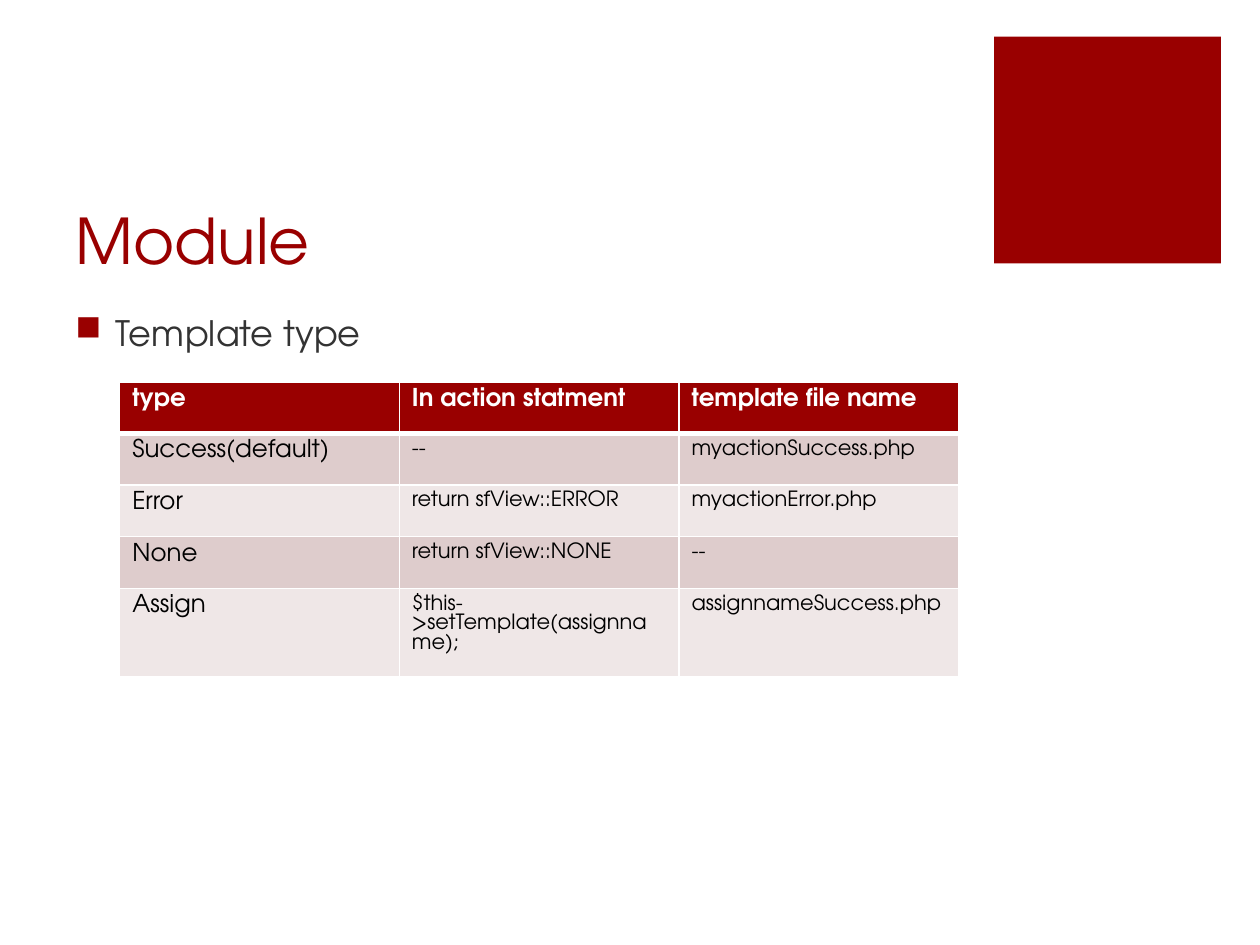
"""Build the Module slide with its table of template types."""
import dataclasses

import lxml.etree
import pptx
import pptx.dml.color
import pptx.enum.shapes
import pptx.enum.text
import pptx.oxml.ns
import pptx.util

Inches = pptx.util.Inches
FONT = "TeX Gyre Adventor"
RED, WHITE, BLACK, GREY = "990000", "FFFFFF", "000000", "333333"
BANDS = ("DECCCC", "EFE7E7")


@dataclasses.dataclass(frozen=True)
class TextStyle:
    size: float
    color: str
    bold: bool = False


@dataclasses.dataclass(frozen=True)
class TemplateType:
    name: str
    statement: str
    file_name: str


HEADER = TemplateType("type", "In action statment", "template file name")
TEMPLATE_TYPES = (
    TemplateType("Success(default)", "--", "myactionSuccess.php"),
    TemplateType("Error", "return sfView::ERROR", "myactionError.php"),
    TemplateType("None", "return sfView::NONE", "--"),
    TemplateType("Assign", "$this->setTemplate(assignname);", "assignnameSuccess.php"),
)
HEADER_STYLE = TextStyle(14, WHITE, True)
NAME_STYLE = TextStyle(14, BLACK)
CODE_STYLE = TextStyle(12, BLACK)


def rgb(color: str) -> pptx.dml.color.RGBColor:
    return pptx.dml.color.RGBColor.from_string(color)


def add_xml(parent, tag: str, **attributes: str):
    return lxml.etree.SubElement(parent, pptx.oxml.ns.qn(tag), attributes)


def paint(fill, color: str) -> None:
    fill.solid()
    fill.fore_color.rgb = rgb(color)


def write(para, text: str, style: TextStyle) -> None:
    span = para.add_run()
    span.text = text
    formats = {"name": FONT, "size": pptx.util.Pt(style.size), "bold": style.bold}
    for key, value in formats.items():
        setattr(span.font, key, value)
    span.font.color.rgb = rgb(style.color)


def add_square(page) -> None:
    square = page.shapes.add_shape(
        pptx.enum.shapes.MSO_SHAPE.RECTANGLE,
        Inches(7.89), Inches(0.29), Inches(1.8), Inches(1.8))
    square.shadow.inherit = False
    paint(square.fill, RED)
    square.line.fill.background()


def set_title(page) -> None:
    title = page.shapes.title
    place = {"left": 0.5, "top": 1, "width": 7.12, "height": 1.25}
    for key, value in place.items():
        setattr(title, key, Inches(value))
    frame = title.text_frame
    frame.vertical_anchor = pptx.enum.text.MSO_ANCHOR.BOTTOM
    para = frame.paragraphs[0]
    para.alignment = pptx.enum.text.PP_ALIGN.LEFT
    write(para, "Module", TextStyle(36, RED))


def add_bullet(page) -> None:
    box = page.shapes.add_textbox(Inches(0.5), Inches(2.42), Inches(7.12), Inches(4.28))
    box.text_frame.word_wrap = True
    para = box.text_frame.paragraphs[0]
    para.space_before = pptx.util.Pt(18)
    write(para, "Template type", TextStyle(20, GREY))
    properties = para._p.get_or_add_pPr()
    properties.set("marL", str(Inches(0.32)))
    properties.set("indent", str(-Inches(0.32)))
    add_xml(add_xml(properties, "a:buClr"), "a:srgbClr", val=RED)
    add_xml(properties, "a:buChar", char="■")


def add_borders(cell, bottom_width: float) -> None:
    properties = cell._tc.get_or_add_tcPr()
    widths = {"a:lnL": 1, "a:lnR": 1, "a:lnT": 1, "a:lnB": bottom_width}
    for index, (tag, width) in enumerate(widths.items()):
        line = lxml.etree.Element(pptx.oxml.ns.qn(tag), w=str(pptx.util.Pt(width)))
        add_xml(add_xml(line, "a:solidFill"), "a:srgbClr", val=WHITE)
        properties.insert(index, line)


def fill_row(table, index: int, entry: TemplateType) -> None:
    is_header = index == 0
    for column, text in enumerate(dataclasses.astuple(entry)):
        cell = table.cell(index, column)
        style = HEADER_STYLE if is_header else CODE_STYLE if column else NAME_STYLE
        write(cell.text_frame.paragraphs[0], text, style)
        paint(cell.fill, RED if is_header else BANDS[(index - 1) % 2])
        add_borders(cell, 3 if is_header else 1)


def add_template_table(page) -> None:
    entries = (HEADER, *TEMPLATE_TYPES)
    table = page.shapes.add_table(
        len(entries), 3, Inches(0.95), Inches(3.03),
        Inches(6.66), Inches(0.41 * len(entries))).table
    for index, entry in enumerate(entries):
        fill_row(table, index, entry)


def main() -> None:
    deck = pptx.Presentation()
    deck.slide_width, deck.slide_height = Inches(10), Inches(7.5)
    page = deck.slides.add_slide(deck.slide_layouts[5])
    add_square(page)
    set_title(page)
    add_bullet(page)
    add_template_table(page)
    deck.save("out.pptx")


if __name__ == "__main__":
    main()
